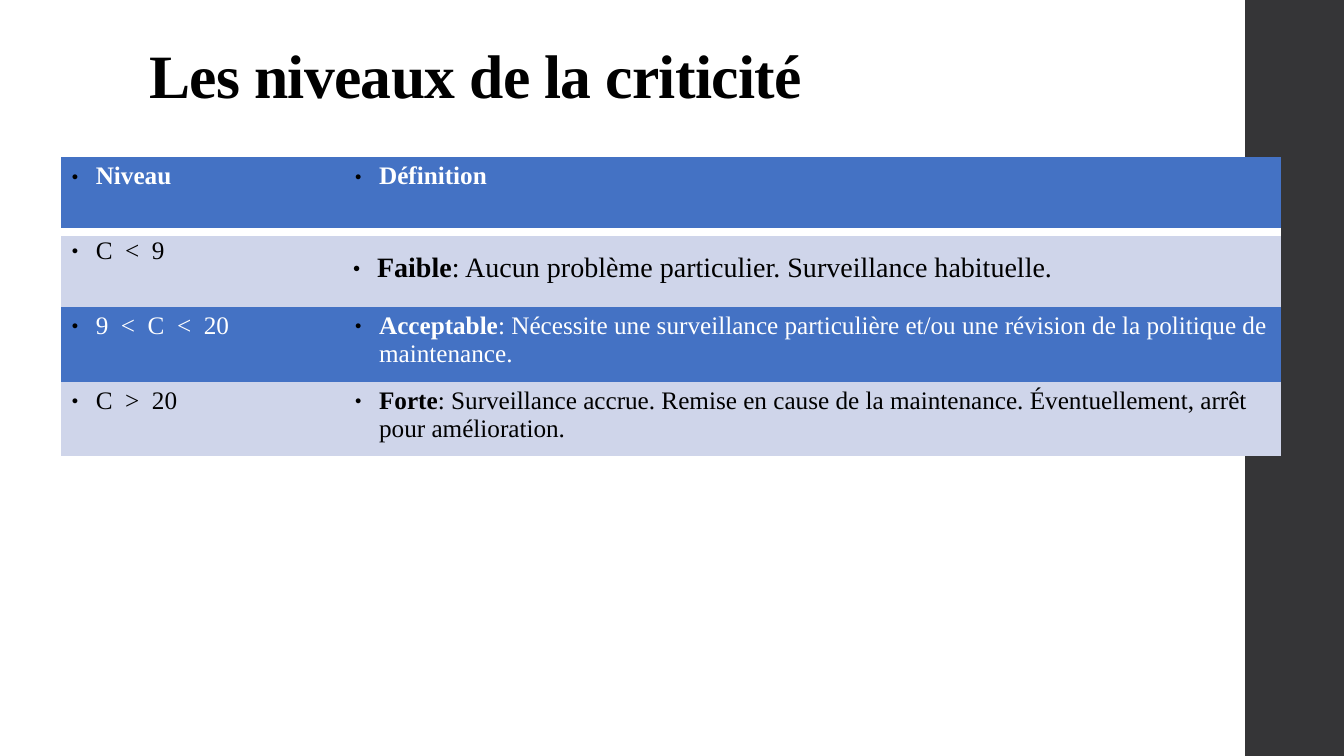
from lxml import etree
from pptx import Presentation
from pptx.dml.color import RGBColor
from pptx.enum.shapes import MSO_SHAPE
from pptx.enum.text import MSO_ANCHOR, PP_ALIGN
from pptx.util import Inches, Pt

RECT = MSO_SHAPE.RECTANGLE
TOP = MSO_ANCHOR.TOP
LEFT = PP_ALIGN.LEFT
NS = "http://schemas.openxmlformats.org/drawingml/2006/main"
BLUE, PALE, BLACK, WHITE, DARK = "4472C4", "CFD5EA", "000000", "FFFFFF", "353537"
NO_STYLE = "{2D5ABB26-0587-4C30-8999-92F81FD0307C}"
BULLET = (
    f'<a:buClr><a:srgbClr val="{BLACK}"/></a:buClr>',
    '<a:buSzPct val="45000"/>',
    '<a:buFont typeface="Times New Roman"/>',
    '<a:buChar char="●"/>',
)
RULE = (f'<a:lnB w="76200"><a:solidFill><a:srgbClr val="{WHITE}"/>'
        '</a:solidFill></a:lnB>')


def node(text):
    """Parse a drawing element written with the a: prefix."""
    return etree.fromstring(f'<a:x xmlns:a="{NS}">{text}</a:x>')[0]


def write(para, text, size, color, bold):
    run = para.add_run()
    run.text = text
    style = {"name": "Times New Roman", "size": Pt(size), "bold": bold}
    for key, value in style.items():
        setattr(run.font, key, value)
    run.font.color.rgb = RGBColor.from_string(color)
    return run


prs = Presentation()
prs.slide_width, prs.slide_height = Inches(13.33), Inches(7.5)
slide = prs.slides.add_slide(prs.slide_layouts[5])

# Dark band on the right edge
band = slide.shapes.add_shape(RECT, Inches(12.35), 0, Inches(0.98), prs.slide_height)
band.shadow.inherit = False
band.fill.solid()
band.fill.fore_color.rgb = RGBColor.from_string(DARK)
band.line.fill.background()

# Title
title = slide.shapes.title
place = {"left": 1.38, "top": 0.4, "width": 10.6, "height": 1.45}
for key, value in place.items():
    setattr(title, key, Inches(value))
title.text_frame.vertical_anchor = TOP
head = title.text_frame.paragraphs[0]
head.alignment, head.line_spacing = LEFT, 0.9
run = write(head, "Les niveaux de la criticité", 44, BLACK, True)
run.font._element.set("spc", "-50")

# Table of levels: level, bold term, rest of the definition
rows = [
    ("Niveau", "Définition", ""),
    ("C  <  9", "Faible", ": Aucun problème particulier. Surveillance habituelle."),
    ("9  <  C  <  20", "Acceptable", ": Nécessite une surveillance particulière "
     "et/ou une révision de la politique de maintenance."),
    ("C  >  20", "Forte", ": Surveillance accrue. Remise en cause de la "
     "maintenance. Éventuellement, arrêt pour amélioration."),
]
frame = slide.shapes.add_table(len(rows), 2, Inches(0.61), Inches(1.56),
                               Inches(12.1), Inches(2.97))
table = frame.table
for item in frame._element.iter(f"{{{NS}}}tableStyleId"):
    item.text = NO_STYLE
for col, width in zip(table.columns, (2.81, 9.29)):
    col.width = Inches(width)

for r, (level, term, rest) in enumerate(rows):
    fill, ink = ((BLUE, WHITE), (PALE, BLACK))[r % 2]
    for c, parts in enumerate(([(level, r == 0)], [(term, True), (rest, False)])):
        cell = table.cell(r, c)
        cell.fill.solid()
        cell.fill.fore_color.rgb = RGBColor.from_string(fill)
        if r == 0:
            cell._tc.get_or_add_tcPr().insert(0, node(RULE))
        para = cell.text_frame.paragraphs[0]
        size = 18
        if (r, c) == (1, 1):
            size = 20
            cell.margin_left = cell.margin_right = Inches(0.08)
            para.line_spacing, para.space_after = 1.5, Pt(8)
        props = para._p.get_or_add_pPr()
        props.set("marL", str(Inches(0.24)))
        props.set("indent", str(-Inches(0.24)))
        for mark in BULLET:
            props.append(node(mark))
        for text, bold in parts:
            if text:
                write(para, text, size, ink, bold)

prs.save("out.pptx")
